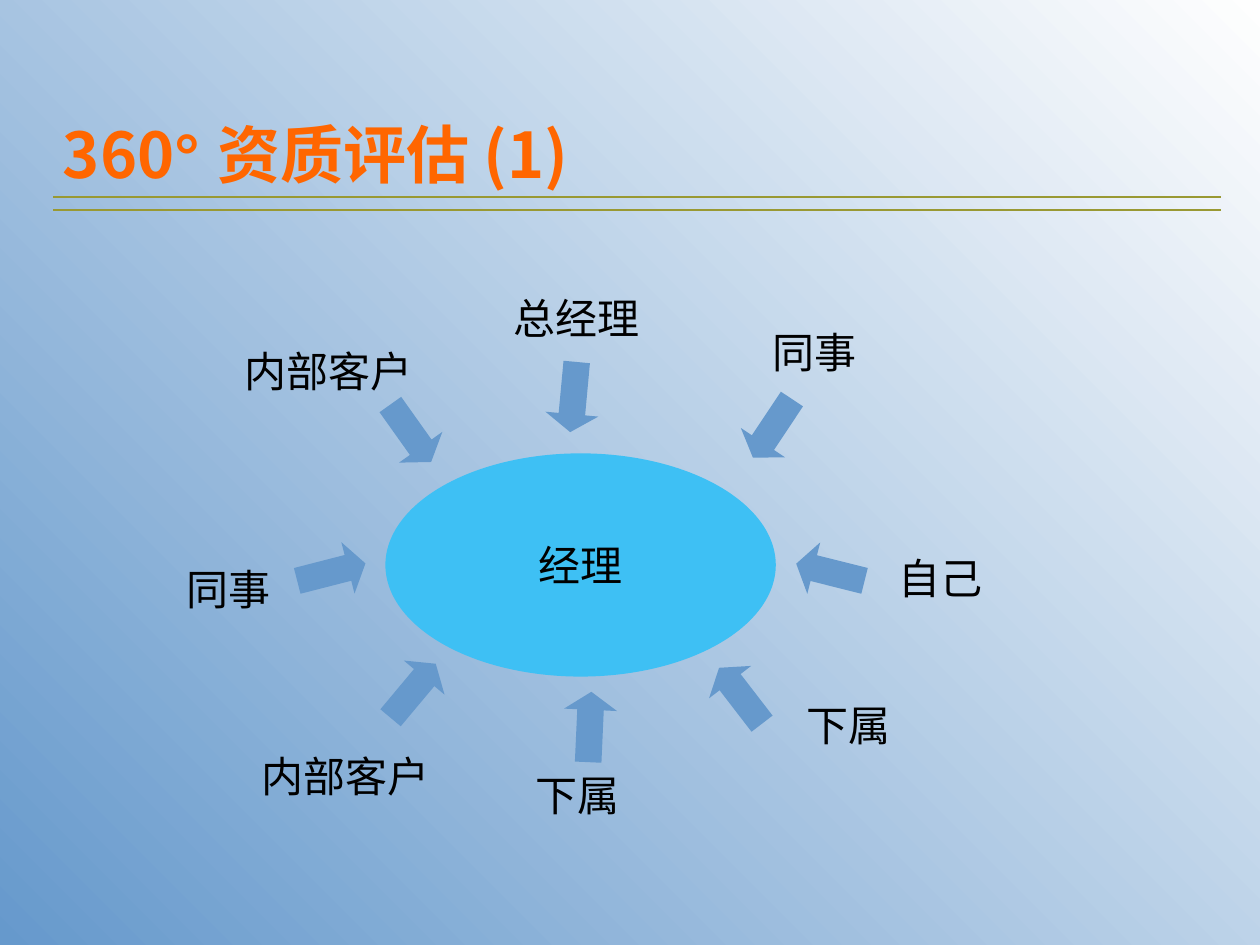
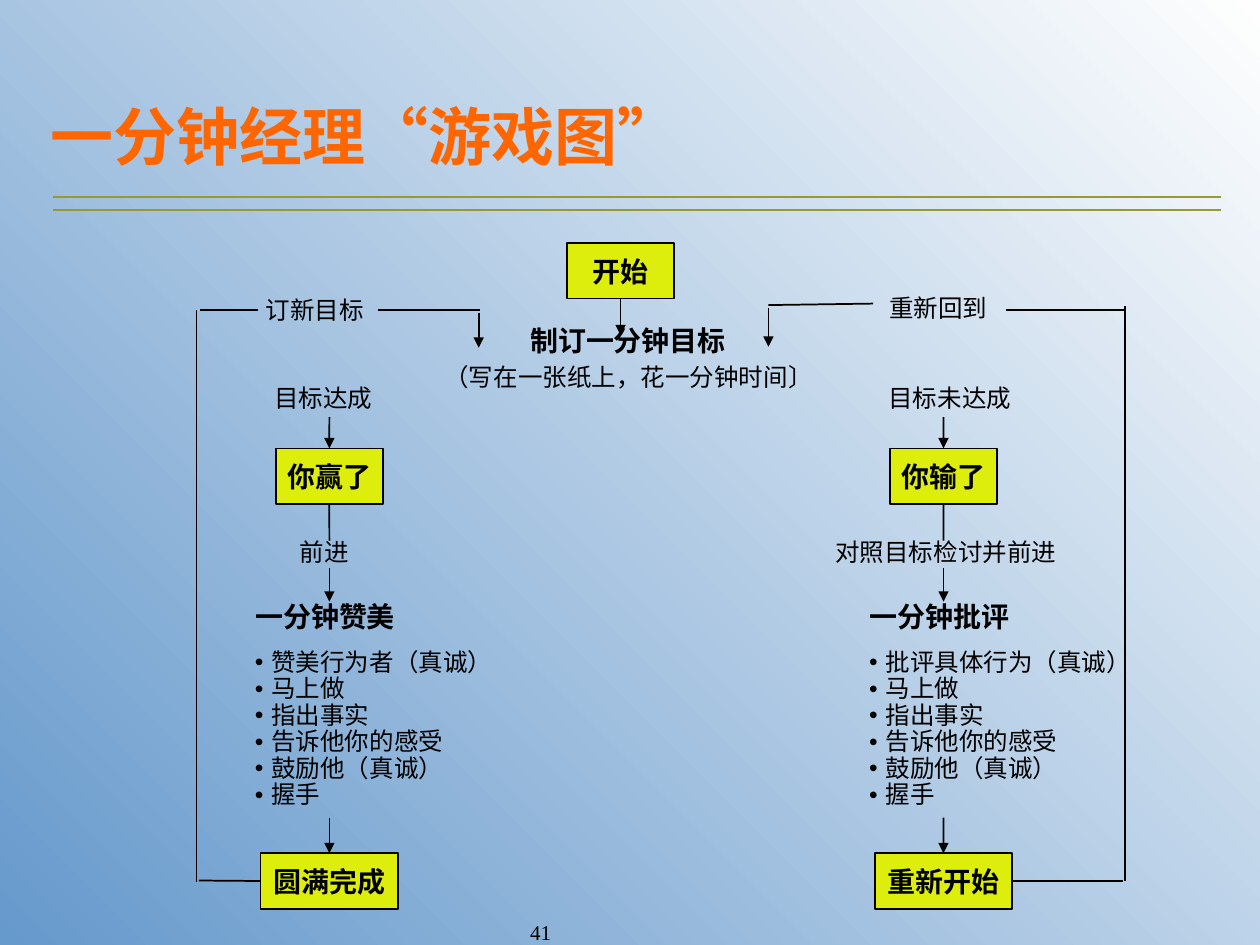
from pptx import Presentation
from pptx.dml.color import RGBColor
from pptx.enum.shapes import MSO_CONNECTOR as Link, MSO_SHAPE as Kind
from pptx.enum.text import MSO_ANCHOR as Anchor, MSO_AUTO_SIZE as Auto, PP_ALIGN as Align
from pptx.oxml.ns import qn
from pptx.util import Cm, Pt
from lxml.etree import SubElement as Sub

# Shared style
BLACK = RGBColor(0x00, 0x00, 0x00)
ORANGE = RGBColor(0xFF, 0x66, 0x00)
OLIVE = RGBColor(0x99, 0x99, 0x33)
WHITE = RGBColor(0xFE, 0xFE, 0xFE)
STEEL = RGBColor(0x66, 0x99, 0xCC)
SKY = RGBColor(0x3E, 0xC0, 0xF4)
LIME = RGBColor(0xDE, 0xEE, 0x0C)
SANS = "Noto Sans CJK SC"
TOP, LEFT, BOTTOM, RIGHT = range(4)
PAD = (0.25, 0.13)
SLACK = 0.1

# Label, its left and top, then the arrow's left, top and angle
RATERS = [
    ("内部客户", 4.67, 6.83, 7.57, 8.2, 54.6),
    ("总经理", 10.11, 5.77, 10.85, 7.47, 95.3),
    ("同事", 15.32, 6.45, 14.86, 8.1, 123.6),
    ("自己", 17.86, 11.0, 16.03, 11.0, 194.1),
    ("同事", 3.51, 11.23, 5.97, 11.0, 345.6),
    ("内部客户", 5.03, 14.99, 7.62, 13.39, 309.9),
    ("下属", 16.0, 13.97, 14.22, 13.49, 232.4),
    ("下属", 10.54, 15.39, 11.18, 14.12, 272.6),
]
ACTS = ["马上做", "指出事实", "告诉他你的感受", "鼓励他（真诚）", "握手"]


def write(frame, *lines, size=14, font=SANS, color=BLACK, bold=False,
          align=None, anchor=Anchor.TOP, pad=PAD, wrap=False,
          bullet=False, indent=0):
    """Fill a frame; a line is a string or a list of (text, font) pairs."""
    frame.word_wrap = wrap
    frame.vertical_anchor = anchor
    frame.margin_left = frame.margin_right = Cm(pad[0])
    frame.margin_top = frame.margin_bottom = Cm(pad[1])
    for i, line in enumerate(lines):
        para = frame.add_paragraph() if i else frame.paragraphs[0]
        props = para._p.get_or_add_pPr()
        if indent:
            props.set("marL", str(Cm(indent)))
        if bullet:
            props.set("indent", str(-Cm(indent)))
            tint = Sub(props, qn("a:buClr"))
            Sub(tint, qn("a:srgbClr")).set("val", str(BLACK))
            Sub(props, qn("a:buFont")).set("typeface", "Arial")
            Sub(props, qn("a:buChar")).set("char", "•")
            para.line_spacing = 0.9
        if align is not None:
            para.alignment = align
        for text, face in [(line, font)] if isinstance(line, str) else line:
            run = para.add_run()
            run.text = text
            run.font.size = Pt(size)
            run.font.bold = bold
            run.font.color.rgb = color
            run.font.name = face
            Sub(run.font._element, qn("a:ea")).set("typeface", face)


def text(slide, x, y, wide, high, *lines, **style):
    area = slide.shapes.add_textbox(Cm(x), Cm(y), Cm(wide), Cm(high))
    write(area.text_frame, *lines, **style)
    return area


def label(slide, x, y, *lines, size=14, indent=0, **style):
    """Place text in a box that fits its longest line, with a little slack."""
    em = size * 2.54 / 72
    wide = max(map(len, lines)) * em + indent + 2 * PAD[0] + SLACK
    high = len(lines) * em * 1.2 + 2 * PAD[1]
    area = text(slide, x, y, wide, high, *lines, size=size, indent=indent, **style)
    area.text_frame.auto_size = Auto.SHAPE_TO_FIT_TEXT


def shape(slide, kind, x, y, wide, high, fill, edge=None):
    item = slide.shapes.add_shape(kind, Cm(x), Cm(y), Cm(wide), Cm(high))
    item.shadow.inherit = False
    item.fill.solid()
    item.fill.fore_color.rgb = fill
    if edge is None:
        item.line.fill.background()
    else:
        item.line.color.rgb = edge
        item.line.width = Pt(1)
    return item


def box(slide, mid, y, wide, word):
    item = shape(slide, Kind.RECTANGLE, mid - wide / 2, y, wide, 1.12, LIME, BLACK)
    write(item.text_frame, word, size=16, bold=True,
          align=Align.CENTER, anchor=Anchor.MIDDLE)
    return item


def line(slide, x1, y1, x2, y2, color=BLACK, head=False, start=None, end=None):
    """Draw a line; start and end are (shape, side) joints."""
    link = slide.shapes.add_connector(Link.STRAIGHT, Cm(x1), Cm(y1), Cm(x2), Cm(y2))
    link.line.color.rgb = color
    link.line.width = Pt(1)
    if head:
        Sub(link.line._get_or_add_ln(), qn("a:tailEnd")).set("type", "triangle")
    Sub(link._element.spPr, qn("a:effectLst"))
    if start:
        link.begin_connect(*start)
    if end:
        link.end_connect(*end)


def base(deck, title, **style):
    """Add a slide with the gradient, the title and the double rule."""
    slide = deck.slides.add_slide(deck.slide_layouts[6])
    fill = slide.background.fill
    fill.gradient()
    fill.gradient_angle = 225
    for stop, color in zip(fill.gradient_stops, (WHITE, STEEL)):
        stop.color.rgb = color
    text(slide, 1.02, 1.45, 23.5, 2.54, title, size=36, bold=True,
         color=ORANGE, wrap=True, **style)
    for y in (4.24, 3.97):
        line(slide, 1.07, y, 24.61, y, OLIVE)
    return slide


def review(deck):
    title = [("360", SANS), ("° ", "Arial"), ("资质评估 (1)", SANS)]
    slide = base(deck, title, anchor=Anchor.BOTTOM)
    hub = shape(slide, Kind.OVAL, 7.77, 9.14, 7.87, 4.5, SKY)
    write(hub.text_frame, "经理", size=24, align=Align.CENTER, anchor=Anchor.MIDDLE)
    for name, x, y, left, top, angle in RATERS:
        arrow = shape(slide, Kind.RIGHT_ARROW, left, top, 1.42, 1.07, STEEL)
        arrow.adjustments[1] = 0.34
        arrow.rotation = angle
        label(slide, x, y, name, size=24)


def branch(slide, mid, state, result, step, left, head, first, last):
    """Draw one column of the chart and return its last box."""
    label(slide, mid - 1.36, 7.59, state)
    mark = box(slide, mid, 9.04, 2.16, result)
    line(slide, mid, 8.41, mid, 9.04, head=True, end=(mark, TOP))
    line(slide, mid, 10.16, mid, 10.9, start=(mark, BOTTOM))
    label(slide, left, 10.69, step)
    line(slide, mid, 11.45, mid, 12.13, head=True)
    label(slide, mid - 1.74, 11.96, head, size=16, bold=True)
    label(slide, mid - 1.75, 12.98, first, *ACTS, bullet=True, indent=0.33)
    close = box(slide, mid, 17.2, 2.77, last)
    line(slide, mid, 16.48, mid, 17.2, head=True, end=(close, TOP))
    return close


def game(deck):
    slide = base(deck, "一分钟经理“游戏图”", anchor=Anchor.MIDDLE, pad=(0, 0))

    # Start and goal
    start = box(slide, 12.51, 4.9, 2.16, "开始")
    label(slide, 10.44, 6.4, "制订一分钟目标", size=16, bold=True)
    line(slide, 12.51, 6.02, 12.51, 6.76, head=True, start=(start, BOTTOM))
    label(slide, 8.71, 7.16, "（写在一张纸上，花一分钟时间〕")

    # Two outcomes
    win = branch(slide, 6.64, "目标达成", "你赢了", "前进", 5.79,
                 "一分钟赞美", "赞美行为者（真诚）", "圆满完成")
    lose = branch(slide, 19.02, "目标未达成", "你输了", "对照目标检讨并前进", 16.59,
                  "一分钟批评", "批评具体行为（真诚）", "重新开始")

    # Loop on the left
    line(slide, 4.01, 17.75, 5.21, 17.76, end=(win, LEFT))
    line(slide, 3.96, 17.78, 3.96, 6.25)
    line(slide, 4.04, 6.25, 5.21, 6.25)
    label(slide, 5.11, 5.82, "订新目标")
    line(slide, 7.62, 6.25, 9.68, 6.25)
    line(slide, 9.65, 6.3, 9.65, 7.01, head=True)

    # Loop on the right
    line(slide, 20.37, 17.76, 22.63, 17.76, start=(lose, RIGHT))
    line(slide, 22.68, 17.76, 22.68, 6.17)
    line(slide, 20.27, 6.25, 22.68, 6.25)
    label(slide, 17.68, 5.77, "重新回到")
    line(slide, 15.49, 6.15, 17.6, 6.12)
    line(slide, 15.49, 6.2, 15.49, 6.99, head=True)

    # Page number
    text(slide, 10.08, 18.21, 5.28, 0.84, "41", size=12, font="Times New Roman",
         anchor=Anchor.BOTTOM, pad=(0, 0), wrap=True, indent=0.61)


def main():
    deck = Presentation()
    deck.slide_width, deck.slide_height = Cm(25.4), Cm(19.05)
    review(deck)
    game(deck)
    deck.save("out.pptx")


if __name__ == "__main__":
    main()
